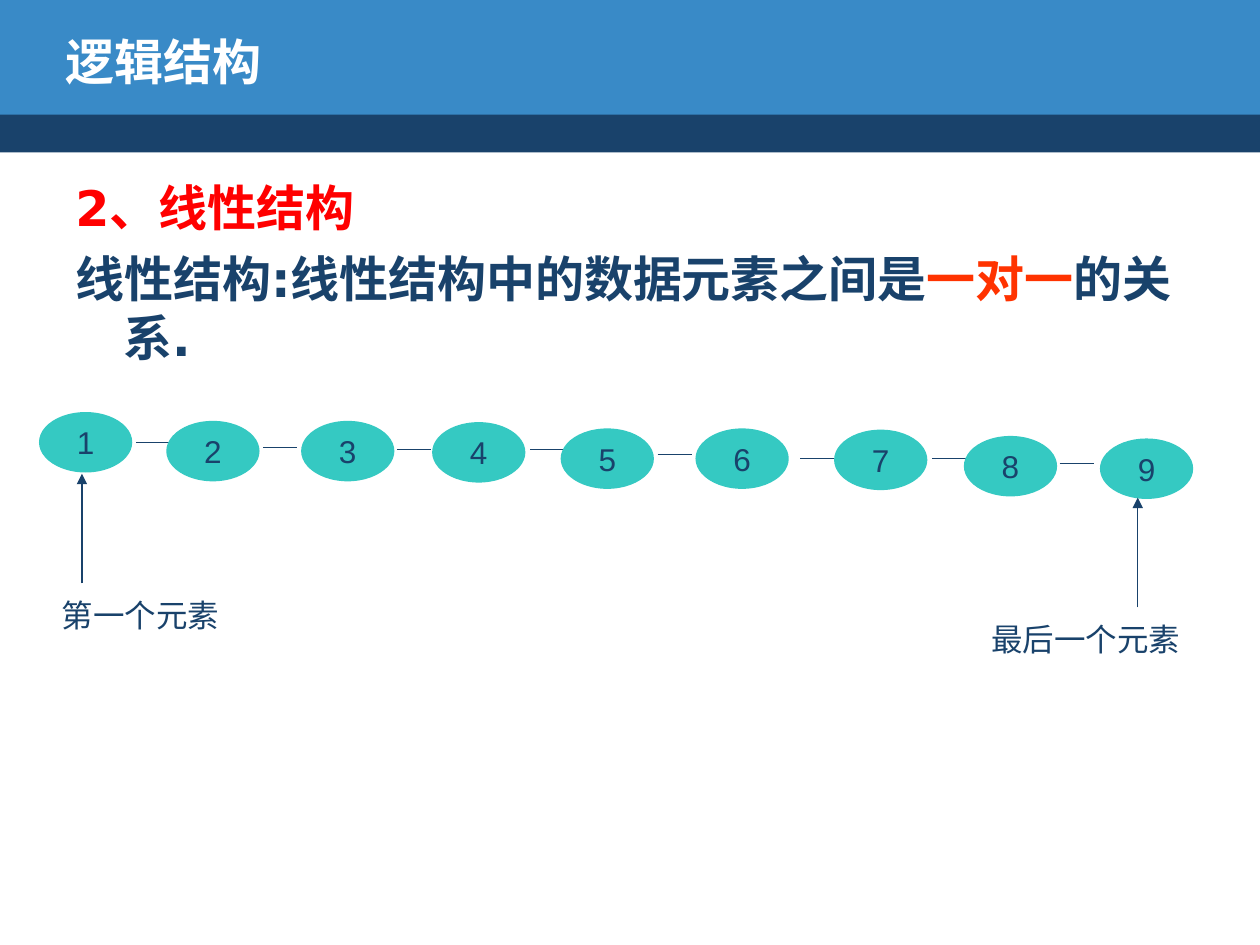
from lxml import etree
from pptx import Presentation
from pptx import util as u
from pptx.dml.color import RGBColor
from pptx.enum import shapes, text
from pptx.oxml.ns import qn

NAVY, BLUE, TEAL, WHITE = "19426B", "398AC7", "35C9C2", "FFFFFF"
RED, ORANGE = "FF0000", "FF3300"

prs = Presentation()
prs.slide_width, prs.slide_height = u.Inches(10), u.Inches(7.5)
s = prs.slides.add_slide(prs.slide_layouts[6])


def add_run(p, words, color, size=18, font="Arial", bold=False):
    r = p.add_run()
    r.text = words
    r.font.size, r.font.name, r.font.bold = u.Pt(size), font, bold
    r.font.color.rgb = RGBColor.from_string(color)


def add_line(x1, y1, x2, y2, arrow=False):
    c = s.shapes.add_connector(shapes.MSO_CONNECTOR.STRAIGHT,
                               *[u.Inches(v) for v in (x1, y1, x2, y2)])
    c.line.color.rgb = RGBColor.from_string(NAVY)
    c.line.width = u.Pt(0.75)
    if arrow:
        etree.SubElement(c.line._get_or_add_ln(), qn("a:tailEnd"), type="triangle")
    etree.SubElement(c._element.spPr, qn("a:effectLst"))


# Header bands
for top, height, color in [(0.87, 0.34, NAVY), (0, 0.91, BLUE)]:
    sp = s.shapes.add_shape(shapes.MSO_SHAPE.RECTANGLE, 0, u.Inches(top),
                            prs.slide_width, u.Inches(height))
    sp.shadow.inherit = False
    sp.fill.solid()
    sp.fill.fore_color.rgb = RGBColor.from_string(color)
    sp.line.fill.background()

# Title and body: each paragraph is a list of (words, colour)
headings = [
    ((0.42, 0.17, 8.08, 0.62), text.MSO_ANCHOR.MIDDLE, 0,
     [[("逻辑结构", WHITE)]]),
    ((0.5, 1.36, 9, 5.74), text.MSO_ANCHOR.TOP, 0.38,
     [[("2、线性结构", RED)],
      [("线性结构:线性结构中的数据元素之间是", NAVY), ("一对一", ORANGE),
       ("的关系.", NAVY)]]),
]
for box, anchor, hang, paragraphs in headings:
    tf = s.shapes.add_textbox(*[u.Inches(v) for v in box]).text_frame
    tf.word_wrap, tf.vertical_anchor = True, anchor
    for i, runs in enumerate(paragraphs):
        p = tf.add_paragraph() if i else tf.paragraphs[0]
        if i:
            p.space_before = u.Pt(7)
        if hang:
            pPr = p._p.get_or_add_pPr()
            pPr.set("marL", str(u.Inches(hang)))
            pPr.set("indent", str(-u.Inches(hang)))
        for words, color in runs:
            add_run(p, words, color, 28, "DejaVu Sans", True)

# Links between neighbouring nodes
LINK = 0.27
for x, y in [(1.08, 3.51), (2.09, 3.55), (3.15, 3.57), (4.21, 3.57),
             (5.22, 3.61), (6.35, 3.64), (7.4, 3.64), (8.41, 3.68)]:
    add_line(x, y, x + LINK, y)

# Numbered nodes
nodes = [(0.31, 3.27), (1.32, 3.34), (2.39, 3.34), (3.43, 3.35), (4.45, 3.4),
         (5.52, 3.4), (6.62, 3.41), (7.65, 3.46), (8.73, 3.48)]
for number, (x, y) in enumerate(nodes, 1):
    sp = s.shapes.add_shape(shapes.MSO_SHAPE.OVAL, u.Inches(x), u.Inches(y),
                            u.Inches(0.74), u.Inches(0.48))
    sp.shadow.inherit = False
    sp.fill.solid()
    sp.fill.fore_color.rgb = RGBColor.from_string(TEAL)
    sp.line.fill.background()
    tf = sp.text_frame
    tf.word_wrap, tf.vertical_anchor = False, text.MSO_ANCHOR.MIDDLE
    p = tf.paragraphs[0]
    p.alignment = text.PP_ALIGN.CENTER
    add_run(p, str(number), NAVY)

# Captions with arrows up to the first and last node
for words, x, arrow_x, tip, width in [("第一个元素", 0.39, 0.65, 3.76, 1.45),
                                      ("最后一个元素", 7.77, 9.03, 3.95, 1.7)]:
    add_line(arrow_x, tip + 0.87, arrow_x, tip, arrow=True)
    tf = s.shapes.add_textbox(u.Inches(x), u.Inches(tip + 0.92),
                              u.Inches(width), u.Inches(0.4)).text_frame
    tf.word_wrap = False
    tf.auto_size = text.MSO_AUTO_SIZE.SHAPE_TO_FIT_TEXT
    add_run(tf.paragraphs[0], words, NAVY)

prs.save("out.pptx")
